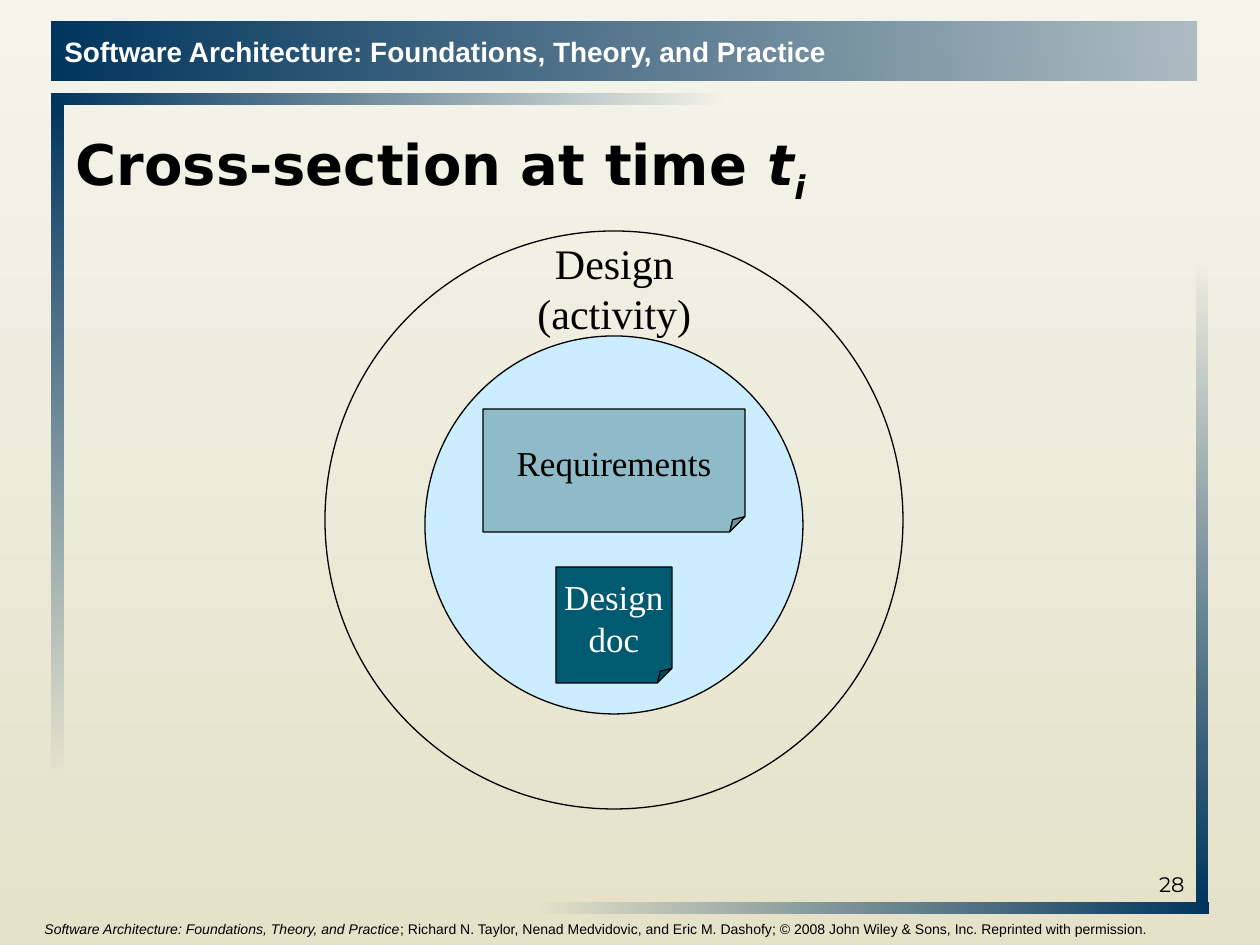
"""Build the slide that shows a design cross-section as nested circles."""
import pptx
import pptx.dml.color
import pptx.enum.shapes
import pptx.enum.text
import pptx.oxml
import pptx.oxml.ns
import pptx.util

SHAPE = pptx.enum.shapes.MSO_SHAPE
ALIGN = pptx.enum.text.PP_ALIGN
ANCHOR = pptx.enum.text.MSO_ANCHOR
FIT = pptx.enum.text.MSO_AUTO_SIZE
SPACE = pptx.oxml.ns.nsdecls("a")
SCALE = 914400 / 126


class Theme:
    navy, black, white = "00355E", "000000", "FFFFFF"
    cream, sand = "F5F4EB", "E5E2C9"
    sky, mist, teal = "CCECFF", "8FBAC8", "005B70"
    head, serif, sans, number = "DejaVu Sans", "Times New Roman", "Arial", "Montserrat"
    title, label, note, banner, page, foot = 32, 24, 20, 16, 12, 8
    line = 0.75


def rgb(code):
    return pptx.dml.color.RGBColor.from_string(code)


def emu(box):
    return [round(length * SCALE) for length in box]


def write(frame, lines, size, font, color=Theme.black, bold=False,
          align=ALIGN.LEFT, anchor=ANCHOR.TOP, wrap=False, fit=FIT.NONE):
    frame.auto_size = fit
    frame.word_wrap = wrap
    frame.vertical_anchor = anchor
    for index, runs in enumerate(lines):
        para = frame.add_paragraph() if index else frame.paragraphs[0]
        para.alignment = align
        for text, italic, base in runs:
            run = para.add_run()
            run.text = text
            run.font.size = pptx.util.Pt(size)
            run.font.name = font
            run.font.color.rgb = rgb(color)
            run.font.bold = bold
            run.font.italic = italic
            if base:
                run.font._element.set("baseline", str(base * 1000))


def plain(*lines):
    return [[(line, False, 0)] for line in lines]


def blend(fill, stops, angle):
    fill.gradient()
    fill.gradient_angle = angle
    for stop, (color, alpha) in zip(fill.gradient_stops, stops):
        stop.color.rgb = rgb(color)
        if alpha < 100:
            node = stop._element.find(pptx.oxml.ns.qn("a:srgbClr"))
            node.append(pptx.oxml.parse_xml(f'<a:alpha {SPACE} val="{alpha * 1000}"/>'))


class Deck:
    def __init__(self):
        self.show = pptx.Presentation()
        self.show.slide_width, self.show.slide_height = emu((1260, 945))
        self.slide = self.show.slides.add_slide(self.show.slide_layouts[5])
        self.host = self.slide.shapes
        ends = (Theme.cream, 100), (Theme.sand, 100)
        blend(self.slide.background.fill, ends, 270)

    def title(self, runs):
        shape = self.slide.shapes.title
        shape.left, shape.top, shape.width, shape.height = emu((63, 105, 1134, 126))
        write(shape.text_frame, [runs], Theme.title, Theme.head, bold=True,
              anchor=ANCHOR.MIDDLE, wrap=True)

    def bar(self, box, start=100, end=0, angle=0):
        shape = self.host.add_shape(SHAPE.RECTANGLE, *emu(box))
        shape.shadow.inherit = False
        shape.line.fill.background()
        blend(shape.fill, ((Theme.navy, start), (Theme.navy, end)), angle)
        return shape

    def shape(self, kind, box, fill=None):
        shape = self.host.add_shape(kind, *emu(box))
        shape.shadow.inherit = False
        shape.line.color.rgb = rgb(Theme.black)
        shape.line.width = pptx.util.Pt(Theme.line)
        if fill:
            shape.fill.solid()
            shape.fill.fore_color.rgb = rgb(fill)
        else:
            shape.fill.background()
        return shape

    def sheet(self, box, fill, lines, color):
        shape = self.shape(SHAPE.FOLDED_CORNER, box, fill)
        fold = pptx.oxml.parse_xml(f'<a:gd {SPACE} name="adj" fmla="val 12500"/>')
        next(shape._element.iter(pptx.oxml.ns.qn("a:avLst"))).append(fold)
        write(shape.text_frame, plain(*lines), Theme.note, Theme.serif, color,
              align=ALIGN.CENTER, anchor=ANCHOR.MIDDLE)

    def text(self, box, lines, size, font, **style):
        frame = self.host.add_textbox(*emu(box)).text_frame
        write(frame, lines, size, font, **style)


def main():
    deck = Deck()
    book = "Software Architecture: Foundations, Theory, and Practice"
    deck.bar((52, 94, 672, 11))
    banner = deck.bar((52, 22, 1145, 59), end=29)
    write(banner.text_frame, plain(book), Theme.banner, Theme.sans,
          Theme.white, bold=True, anchor=ANCHOR.MIDDLE)
    deck.bar((52, 105, 12, 672), angle=270)
    deck.bar((536, 903, 672, 11), start=0, end=100)
    deck.bar((1197, 262, 11, 641), start=0, end=100, angle=270)
    deck.title([("Cross-section at time ", False, 0), ("t", True, 0), ("i", True, -25)])
    deck.text((903, 840, 294, 63), plain("28"), Theme.page, Theme.number,
              align=ALIGN.RIGHT, anchor=ANCHOR.BOTTOM, wrap=True)

    deck.host = deck.slide.shapes.add_group_shape().shapes
    deck.shape(SHAPE.OVAL, (425, 336, 378, 378), Theme.sky)
    deck.shape(SHAPE.OVAL, (325, 231, 578, 578))
    deck.text((525, 231, 179, 113), plain("Design", "(activity)"), Theme.label,
              Theme.serif, align=ALIGN.CENTER, fit=FIT.SHAPE_TO_FIT_TEXT)
    deck.sheet((483, 409, 262, 123), Theme.mist, ["Requirements"], Theme.black)
    deck.sheet((556, 567, 116, 116), Theme.teal, ["Design", "doc"], Theme.white)

    deck.host = deck.slide.shapes
    credit = ("; Richard N. Taylor, Nenad Medvidovic, and Eric M. Dashofy; "
              "© 2008 John Wiley & Sons, Inc. Reprinted with permission.")
    deck.text((32, 914, 1138, 31), [[(book, True, 0), (credit, False, 0)]],
              Theme.foot, Theme.sans)
    deck.show.save("out.pptx")


if __name__ == "__main__":
    main()
